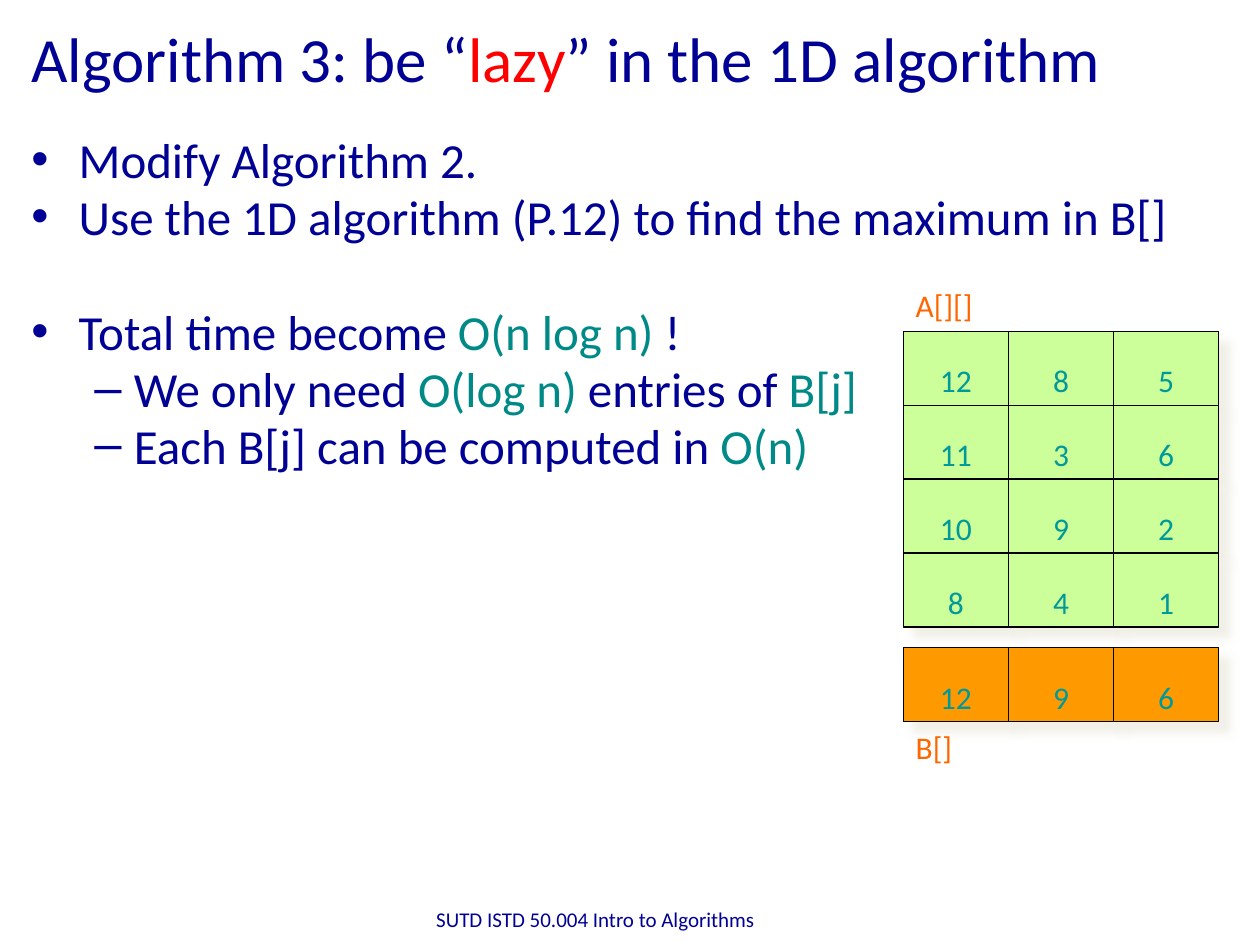
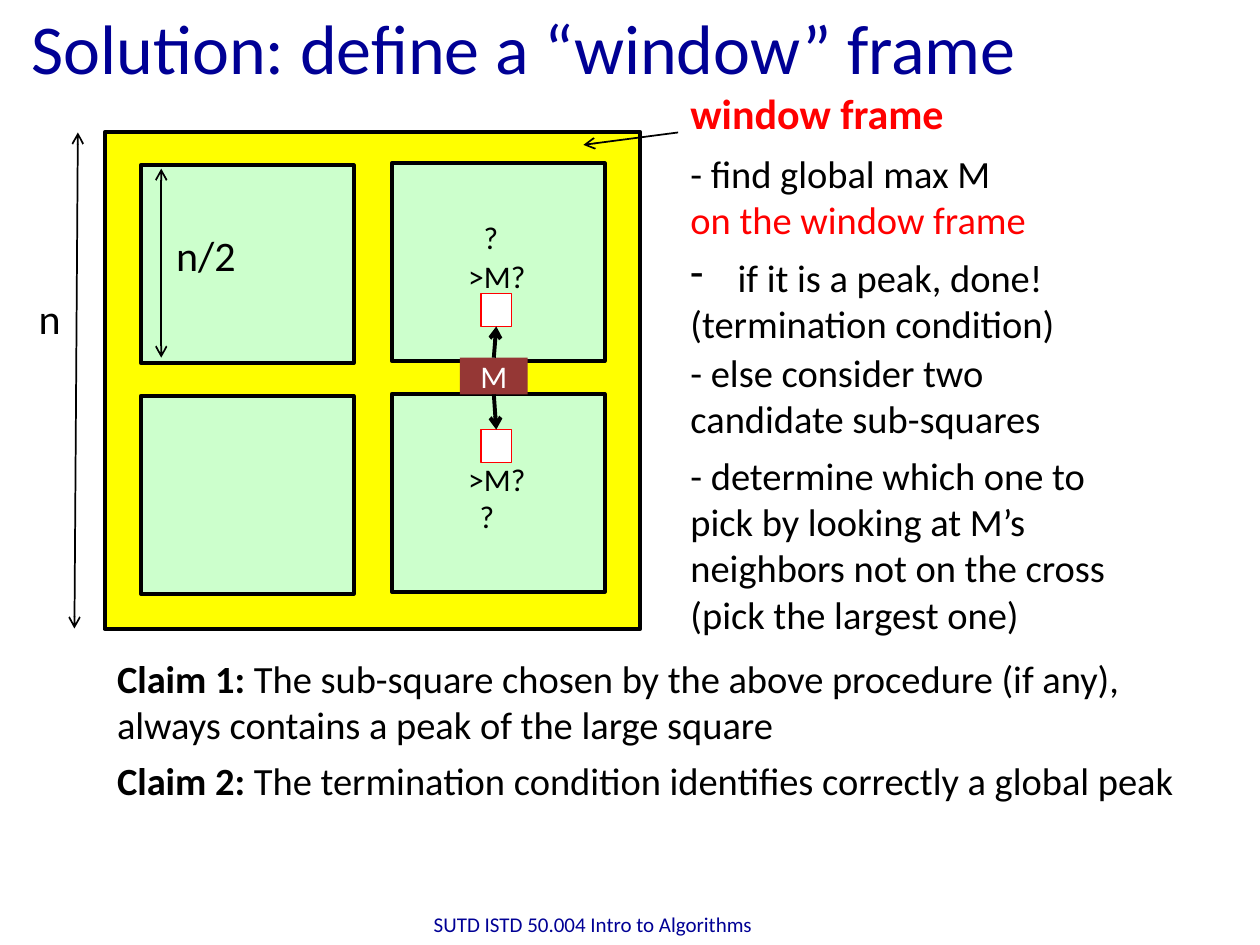
from lxml import etree
from pptx import Presentation
from pptx.dml.color import RGBColor
from pptx.enum import shapes, text
from pptx.oxml.ns import qn
from pptx.util import Cm, Pt

NAVY = RGBColor(0x00, 0x00, 0x95)
RED = RGBColor(0xFF, 0x00, 0x00)
TEAL = RGBColor(0x00, 0x8A, 0x87)
DIGIT = RGBColor(0x00, 0x99, 0x99)
LABEL = RGBColor(0xFF, 0x66, 0x00)
LIME = RGBColor(0xCC, 0xFF, 0x99)
ORANGE = RGBColor(0xFF, 0x99, 0x00)
YELLOW = RGBColor(0xFF, 0xFF, 0x00)
MINT = RGBColor(0xCC, 0xFF, 0xCC)
MAROON = RGBColor(0x95, 0x37, 0x35)
BLACK = RGBColor(0x00, 0x00, 0x00)
WHITE = RGBColor(0xFF, 0xFF, 0xFF)
SHADOW = RGBColor(0xEE, 0xEC, 0xE1)
FONT = "Calibri"
FOOTER = "SUTD ISTD 50.004 Intro to Algorithms"

# Content: a paragraph is a list of (words, colour) or (words, colour, bold) runs
LAZY_TITLE = [("Algorithm 3: be “", NAVY), ("lazy", RED), ("” in the 1D algorithm", NAVY)]
LAZY_POINTS = [  # level, space before in points, runs
    (0, 0, [("Modify Algorithm 2.", NAVY)]),
    (0, 5.6, [("Use the 1D algorithm (P.12) to find the maximum in B[]", NAVY)]),
    (0, 38.5, [("Total time become ", NAVY), ("O(n log n) ", TEAL), ("!", NAVY)]),
    (1, 5.6, [("We only need ", NAVY), ("O(log n)", TEAL), (" entries of ", NAVY),
              ("B[j]", TEAL)]),
    (1, 5.6, [("Each B[j] can be computed in ", NAVY), ("O(n)", TEAL)]),
]
ARRAY_A = [(12, 8, 5), (11, 3, 6), (10, 9, 2), (8, 4, 1)]
ARRAY_B = [(12, 9, 6)]
ARRAYS = [(ARRAY_A, 6.68, LIME), (ARRAY_B, 13.06, ORANGE)]  # values, top, fill
ARRAY_LABELS = [("A[][]", (18.21, 5.64, 1.68, 1.02)), ("B[]", (18.21, 14.55, 1.24, 1.02))]

WINDOW_TITLE = [("Solution: define a “window” frame", NAVY)]
PROCEDURE = [  # top, height, paragraphs
    (2.9, 2.13, [[("- find global max M", BLACK)], [("on the window frame", RED)]]),
    (5.0, 2.13, [[("if it is a peak, done!", BLACK)], [("(termination condition)", BLACK)]]),
    (6.91, 2.13, [[("- else consider two candidate sub-squares", BLACK)]]),
    (8.99, 4.01, [[("- determine which one to pick by looking at M’s neighbors "
                    "not on the cross (pick the largest one)", BLACK)]]),
]
DASHED_STEP = 1
CLAIMS = [
    (13.08, 2.13, [[("Claim 1: ", BLACK, True),
                    ("The sub-square chosen by the above procedure (if any), "
                     "always contains a peak of the large square", BLACK)]]),
    (15.14, 1.19, [[("Claim 2:", BLACK, True),
                    (" The termination condition identifies correctly a global peak", BLACK)]]),
]
DIAGRAM_LABELS = [  # run, size, place
    (("n", BLACK), 24, (0.53, 5.77, 0.97, 1.27)),
    (("n/2", BLACK), 24, (3.3, 4.5, 1.73, 1.27)),
    (("window frame", RED, True), 24, (13.67, 1.63, 5.69, 1.27)),
    (("?", BLACK), 18, (9.5, 4.27, 0.81, 1.02)),
    ((">M?", BLACK), 18, (9.19, 5.05, 1.68, 1.02)),
    ((">M?", BLACK), 18, (9.19, 9.14, 1.68, 1.02)),
    (("?", BLACK), 18, (9.42, 9.9, 0.81, 1.02)),
]
MEASURES = [  # from, to, arrow at both ends
    ((1.57, 2.67), (1.5, 12.67), True),
    ((3.25, 3.4), (3.25, 7.21), True),
    ((13.67, 2.67), (11.76, 2.92), False),
]


# Text
def add_runs(paragraph, runs, size):
    for words, colour, *bold in runs:
        run = paragraph.add_run()
        run.text = words
        look = {"name": FONT, "size": Pt(size), "bold": bool(bold)}
        for key, value in look.items():
            setattr(run.font, key, value)
        run.font.color.rgb = colour


def format_frame(frame, **look):
    for key, value in look.items():
        setattr(frame, key, value)


def add_words(slide, place, paragraphs, size, wrap=True, **look):
    frame = slide.shapes.add_textbox(*map(Cm, place)).text_frame
    fit = text.MSO_AUTO_SIZE.NONE if wrap else text.MSO_AUTO_SIZE.SHAPE_TO_FIT_TEXT
    format_frame(frame, word_wrap=wrap, auto_size=fit, **look)
    for i, runs in enumerate(paragraphs):
        paragraph = frame.add_paragraph() if i else frame.paragraphs[0]
        add_runs(paragraph, runs, size)
    return frame


def move(placeholder, left, top, width, height):
    for key, value in dict(left=left, top=top, width=width, height=height).items():
        setattr(placeholder, key, Cm(value))
    placeholder.text_frame.auto_size = text.MSO_AUTO_SIZE.NONE


def add_dash_bullet(paragraph):
    properties = paragraph._p.get_or_add_pPr()
    properties.set("marL", str(Cm(0.95)))
    properties.set("indent", str(Cm(-0.95)))
    etree.SubElement(properties, qn("a:buChar"), char="-")


# Shapes
def add_rect(slide, place, fill, line=None, width=0.75):
    rect = slide.shapes.add_shape(shapes.MSO_SHAPE.RECTANGLE, *map(Cm, place))
    rect.fill.solid()
    rect.fill.fore_color.rgb = fill
    if line is None:
        rect.line.fill.background()
    else:
        rect.line.color.rgb = line
        rect.line.width = Pt(width)
    rect.shadow.inherit = False
    return rect


def add_centred(rect, words, colour, anchor):
    format_frame(rect.text_frame, vertical_anchor=anchor)
    paragraph = rect.text_frame.paragraphs[0]
    paragraph.alignment = text.PP_ALIGN.CENTER
    add_runs(paragraph, [(words, colour)], 18)


def add_soft_shadow(rect):
    effects = rect.element.spPr.find(qn("a:effectLst"))
    outer = etree.SubElement(effects, qn("a:outerShdw"), blurRad=str(Pt(5)),
                             dist=str(Pt(8.5)), dir="2700000", algn="ctr", rotWithShape="0")
    colour = etree.SubElement(outer, qn("a:srgbClr"), val=str(SHADOW))
    etree.SubElement(colour, qn("a:alpha"), val="75000")


def add_arrow(slide, start, end, width, both=False):
    arrow = slide.shapes.add_connector(shapes.MSO_CONNECTOR.STRAIGHT, *map(Cm, start + end))
    arrow.line.color.rgb = BLACK
    arrow.line.width = Pt(width)
    properties = arrow.element.spPr
    line = properties.find(qn("a:ln"))
    for tip in (["headEnd"] if both else []) + ["tailEnd"]:
        etree.SubElement(line, qn("a:" + tip), type="arrow")
    etree.SubElement(properties, qn("a:effectLst"))
    return arrow


# Shared title and footer
def start_slide(deck, layout, title, size, title_top, footer_place):
    slide = deck.slides.add_slide(deck.slide_layouts[layout])
    heading = slide.shapes.title
    move(heading, 0.38, title_top, 22.86, 2.16)
    heading.text_frame.vertical_anchor = text.MSO_ANCHOR.MIDDLE
    paragraph = heading.text_frame.paragraphs[0]
    paragraph.alignment = text.PP_ALIGN.LEFT
    add_runs(paragraph, title, size)
    footer = add_words(slide, (*footer_place, 8.05, 1.02), [[(FOOTER, NAVY)]], 12,
                       vertical_anchor=text.MSO_ANCHOR.MIDDLE)
    footer.paragraphs[0].alignment = text.PP_ALIGN.CENTER
    return slide


def build_lazy(deck):
    slide = start_slide(deck, 1, LAZY_TITLE, 36, 0.08, (7.98, 18.01))
    points = slide.placeholders[1]
    move(points, 0.38, 2.72, 24.26, 16.33)
    for i, (level, before, runs) in enumerate(LAZY_POINTS):
        frame = points.text_frame
        paragraph = frame.add_paragraph() if i else frame.paragraphs[0]
        look = {"level": level, "line_spacing": 0.8, "space_before": Pt(before)}
        for key, value in look.items():
            setattr(paragraph, key, value)
        add_runs(paragraph, runs, 28)

    # Arrays A and B
    left, width, height = 18.21, 2.12, 1.49
    for values, top, fill in ARRAYS:
        for r, row in enumerate(values):
            for c, value in enumerate(row):
                place = (left + c * width, top + r * height, width, height)
                cell = add_rect(slide, place, fill, BLACK)
                add_soft_shadow(cell)
                add_centred(cell, str(value), DIGIT, text.MSO_ANCHOR.BOTTOM)
    for words, place in ARRAY_LABELS:
        add_words(slide, place, [[(words, LABEL)]], 18, wrap=False)


def build_window(deck):
    slide = start_slide(deck, 5, WINDOW_TITLE, 40, -0.15, (7.93, 18.11))

    # Procedure and claims
    for i, (top, height, paragraphs) in enumerate(PROCEDURE):
        step = add_words(slide, (13.67, top, 9.0, height), paragraphs, 22)
        if i == DASHED_STEP:
            add_dash_bullet(step.paragraphs[0])
    for top, height, paragraphs in CLAIMS:
        add_words(slide, (2.11, top, 22.94, height), paragraphs, 22)

    # Frame with four panes, the right column slightly higher
    add_rect(slide, (2.11, 2.67, 10.8, 10.01), YELLOW, BLACK, 2.25)
    for row in range(2):
        for column in range(2):
            place = (2.84 + 5.06 * column, 3.33 + 4.65 * row - 0.04 * column, 4.29, 3.99)
            add_rect(slide, place, MINT, BLACK, 2.25)
    for start, end, both in MEASURES:
        add_arrow(slide, start, end, 1, both)

    # M and its two neighbours
    maximum = add_rect(slide, (9.27, 7.21, 1.37, 0.74), MAROON)
    format_frame(maximum.text_frame, margin_top=0, margin_bottom=0)
    add_centred(maximum, "M", WHITE, text.MSO_ANCHOR.MIDDLE)
    for top, side, facing in ((5.92, 0, 2), (8.66, 2, 0)):
        neighbour = add_rect(slide, (9.7, top, 0.61, 0.66), WHITE, RED)
        link = add_arrow(slide, (9.96, 7.21), (10.0, top), 2.25)
        link.begin_connect(maximum, side)
        link.end_connect(neighbour, facing)
    for run, size, place in DIAGRAM_LABELS:
        add_words(slide, place, [[run]], size, wrap=False)


def main():
    deck = Presentation()
    deck.slide_width, deck.slide_height = Cm(25.4), Cm(19.05)
    build_lazy(deck)
    build_window(deck)
    deck.save("out.pptx")


if __name__ == "__main__":
    main()
